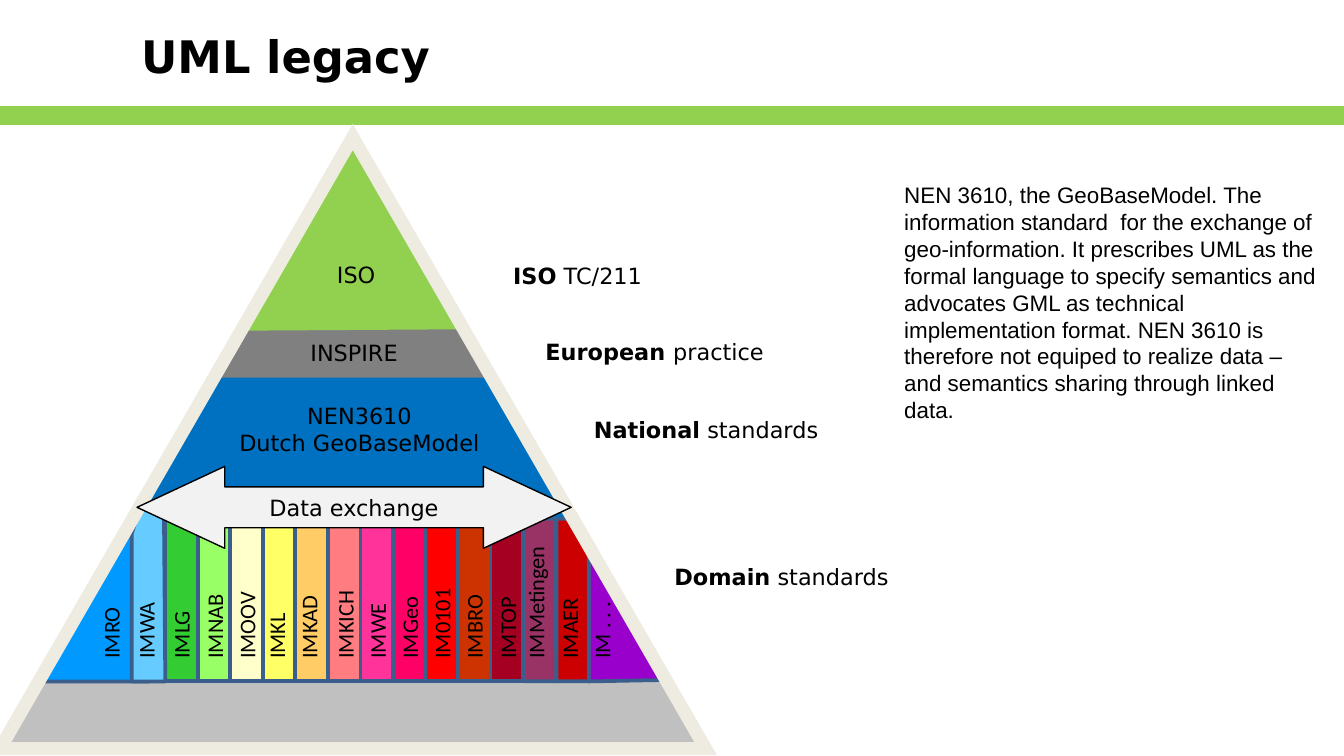
from dataclasses import dataclass

from lxml.etree import SubElement
from pptx import Presentation
from pptx.dml.color import RGBColor
from pptx.enum.shapes import MSO_SHAPE as Shape
from pptx.enum.text import MSO_ANCHOR as Anchor, PP_ALIGN as Align
from pptx.oxml.ns import qn
from pptx.util import Inches, Pt


@dataclass(frozen=True)
class Theme:
    heading_font: str = "DejaVu Sans"
    body_font: str = "Arial"
    column_font: str = "Calibri"
    title_size: int = 24
    text_size: int = 12
    text: str = "000000"
    green: str = "92D050"
    inspire: str = "808080"
    national: str = "0070C0"
    base: str = "C0C0C0"
    column_edge: str = "3A5F8C"
    frame: str = "EEECE1"
    arrow: str = "F2F2F2"


class SlideBuilder:
    def __init__(self, slide, theme):
        self.slide = slide
        self.theme = theme

    def paint(self, shape, fill=None, line=None, width=2):
        shape.shadow.inherit = False
        if fill:
            shape.fill.solid()
            shape.fill.fore_color.rgb = RGBColor.from_string(fill)
        else:
            shape.fill.background()
        if line:
            shape.line.color.rgb = RGBColor.from_string(line)
            shape.line.width = Pt(width)
        else:
            shape.line.fill.background()
        return shape

    def format_run(self, run, font, size=None, bold=False):
        run.font.name = font
        run.font.size = Pt(size or self.theme.text_size)
        run.font.bold = bold
        run.font.color.rgb = RGBColor.from_string(self.theme.text)

    def fill_text(self, frame, lines, font, align=Align.LEFT):
        frame.text = "\n".join(lines)
        for paragraph in frame.paragraphs:
            paragraph.alignment = align
            for run in paragraph.runs:
                self.format_run(run, font)

    def title(self, wording, box):
        title = self.slide.shapes.title
        title.left, title.top, title.width, title.height = map(Inches, box)
        frame = title.text_frame
        frame.text = wording
        frame.vertical_anchor = Anchor.TOP
        frame.margin_top = Inches(0.07)
        frame.paragraphs[0].alignment = Align.CENTER
        self.format_run(frame.paragraphs[0].runs[0], self.theme.heading_font,
                        self.theme.title_size, True)

    def preset(self, kind, box, **style):
        shape = self.slide.shapes.add_shape(kind, *map(Inches, box))
        return self.paint(shape, **style)

    def polygon(self, points, **style):
        corners = [(Inches(x), Inches(y)) for x, y in points]
        outline = self.slide.shapes.build_freeform(*corners[0])
        outline.add_line_segments(corners[1:], close=True)
        return self.paint(outline.convert_to_shape(), **style)

    def text(self, lines, box, font):
        note = self.slide.shapes.add_textbox(*map(Inches, box))
        note.text_frame.word_wrap = True
        self.fill_text(note.text_frame, lines, font)
        return note

    def layer_label(self, lines, box):
        label = self.slide.shapes.add_textbox(*map(Inches, box))
        label.text_frame.word_wrap = False
        label.text_frame.vertical_anchor = Anchor.MIDDLE
        self.fill_text(label.text_frame, lines, self.theme.heading_font, Align.CENTER)

    def level_label(self, strong, rest, box):
        label = self.text([strong], box, self.theme.heading_font)
        paragraph = label.text_frame.paragraphs[0]
        paragraph.runs[0].font.bold = True
        ending = paragraph.add_run()
        ending.text = rest
        self.format_run(ending, self.theme.heading_font)

    def column_label(self, wording, center, length, bottom=5.0, height=0.31):
        box = (center - length / 2, bottom - length / 2 - height / 2, length, height)
        self.text([wording], box, self.theme.column_font).rotation = 270


# Straight domain columns, left to right: colour and top edge
COLUMN_LEFT, COLUMN_PITCH, COLUMN_BOTTOM = 1.23, 0.242, 5.07
COLUMNS = [
    ("33CC33", 3.75), ("99FF66", 3.75), ("FFFFCC", 3.75), ("FFFF66", 3.75),
    ("FFCC66", 3.75), ("FF7C80", 3.75), ("FF3399", 3.75), ("FF0066", 3.75),
    ("FF0000", 3.75), ("CC3300", 3.85), ("A50021", 3.85),
]
# Columns cut by the sides of the pyramid
CUT_COLUMNS = [
    ("0099FF", [(1.11, 5.07), (1.04, 3.79), (0.31, 5.07)]),
    ("66CCFF", [(1.04, 3.79), (0.98, 3.97), (0.98, 5.07), (1.23, 5.07), (1.22, 3.79)]),
    ("9900CC", [(4.38, 5.07), (4.38, 4.09), (4.92, 5.06)]),
    ("993366", [(4.13, 3.86), (4.14, 5.07), (3.9, 5.07), (3.9, 3.86)]),
    ("CC0000", [(4.26, 3.86), (4.38, 4.09), (4.38, 5.07), (4.14, 5.07), (4.14, 3.86)]),
]
# Upright names: wording, centre, length
COLUMN_LABELS = [
    ("IMRO", 0.83, 0.92), ("IMWA", 1.09, 0.92), ("IMLG", 1.35, 0.92),
    ("IMNAB", 1.6, 0.92), ("IMOOV", 1.84, 0.86), ("IMKL", 2.06, 0.63),
    ("IMKAD", 2.3, 0.92), ("IMKICH", 2.57, 0.92), ("IMWE", 2.81, 0.92),
    ("IMGeo", 3.05, 0.92), ("IM0101", 3.29, 0.92), ("IMBRO", 3.53, 0.92),
    ("IMTOP", 3.78, 1.21), ("IMMetingen", 3.99, 1.22), ("IMAER", 4.24, 1.22),
    ("IM . . .", 4.48, 1.21),
]
LEVELS = [
    ("ISO", " TC/211", (3.72, 1.9, 2.63, 0.3)),
    ("European ", "practice", (3.96, 2.47, 2.25, 0.3)),
    ("National", " standards", (4.32, 3.05, 2.25, 0.3)),
    ("Domain", " standards", (4.92, 4.14, 2.16, 0.3)),
]
EXPLANATION = (
    "NEN 3610, the GeoBaseModel. The information standard  for the exchange of "
    "geo-information. It prescribes UML as the formal language to specify semantics "
    "and advocates GML as technical implementation format. NEN 3610 is therefore not "
    "equiped to realize data – and semantics sharing through linked data."
)


def main():
    theme = Theme()
    deck = Presentation()
    # Widescreen page, 16:9
    deck.slide_width, deck.slide_height = Inches(10), Inches(10 * 9 / 16)
    builder = SlideBuilder(deck.slides.add_slide(deck.slide_layouts[5]), theme)

    # Heading and explanation
    builder.preset(Shape.RECTANGLE, (0, 0.8, 10, 0.12), fill=theme.green, line=theme.green)
    builder.title("UML legacy", (0.43, 0.14, 3.39, 0.94))
    builder.text([EXPLANATION], (6.63, 1.3, 3.33, 1.72), theme.body_font)

    # Pyramid base and national layer
    builder.polygon([(0.06, 5.56), (2.62, 1.02), (5.24, 5.56)], fill=theme.base)
    builder.polygon([(1.04, 3.79), (2.62, 1.07), (4.26, 3.85)], fill=theme.national)

    # Domain columns
    for index, (color, top) in enumerate(COLUMNS):
        left = COLUMN_LEFT + index * COLUMN_PITCH
        builder.preset(Shape.RECTANGLE, (left, top, COLUMN_PITCH, COLUMN_BOTTOM - top),
                       fill=color, line=theme.column_edge)
    for color, corners in CUT_COLUMNS:
        builder.polygon(corners, fill=color, line=theme.column_edge)
    for wording, center, length in COLUMN_LABELS:
        builder.column_label(wording, center, length)

    # Upper layers
    builder.polygon([(1.58, 2.81), (2.63, 1.21), (3.66, 2.81)], fill=theme.inspire)
    builder.polygon([(2.62, 1.07), (1.83, 2.46), (3.46, 2.45)], fill=theme.green)
    builder.layer_label(["ISO"], (2.39, 1.89, 0.52, 0.3))
    builder.layer_label(["INSPIRE"], (2.18, 2.47, 0.91, 0.3))
    builder.layer_label(["NEN3610", "Dutch GeoBaseModel"], (1.68, 2.94, 1.99, 0.5))

    # Level names beside the pyramid
    for strong, rest, box in LEVELS:
        builder.level_label(strong, rest, box)

    # Pyramid frame with sharp corners
    frame = builder.preset(Shape.ISOSCELES_TRIANGLE, (0, 1.02, 5.25, 4.55),
                           line=theme.frame, width=7)
    SubElement(frame.element.spPr.find(qn("a:ln")), qn("a:miter"), lim="800000")

    # Data exchange arrow
    exchange = builder.preset(Shape.LEFT_RIGHT_ARROW, (1.02, 3.47, 3.23, 0.61),
                              fill=theme.arrow, line=theme.text, width=0.75)
    exchange.adjustments[0], exchange.adjustments[1] = 0.5, 1.07
    exchange.text_frame.vertical_anchor = Anchor.MIDDLE
    builder.fill_text(exchange.text_frame, ["Data exchange"], theme.heading_font, Align.CENTER)

    deck.save("out.pptx")


if __name__ == "__main__":
    main()
